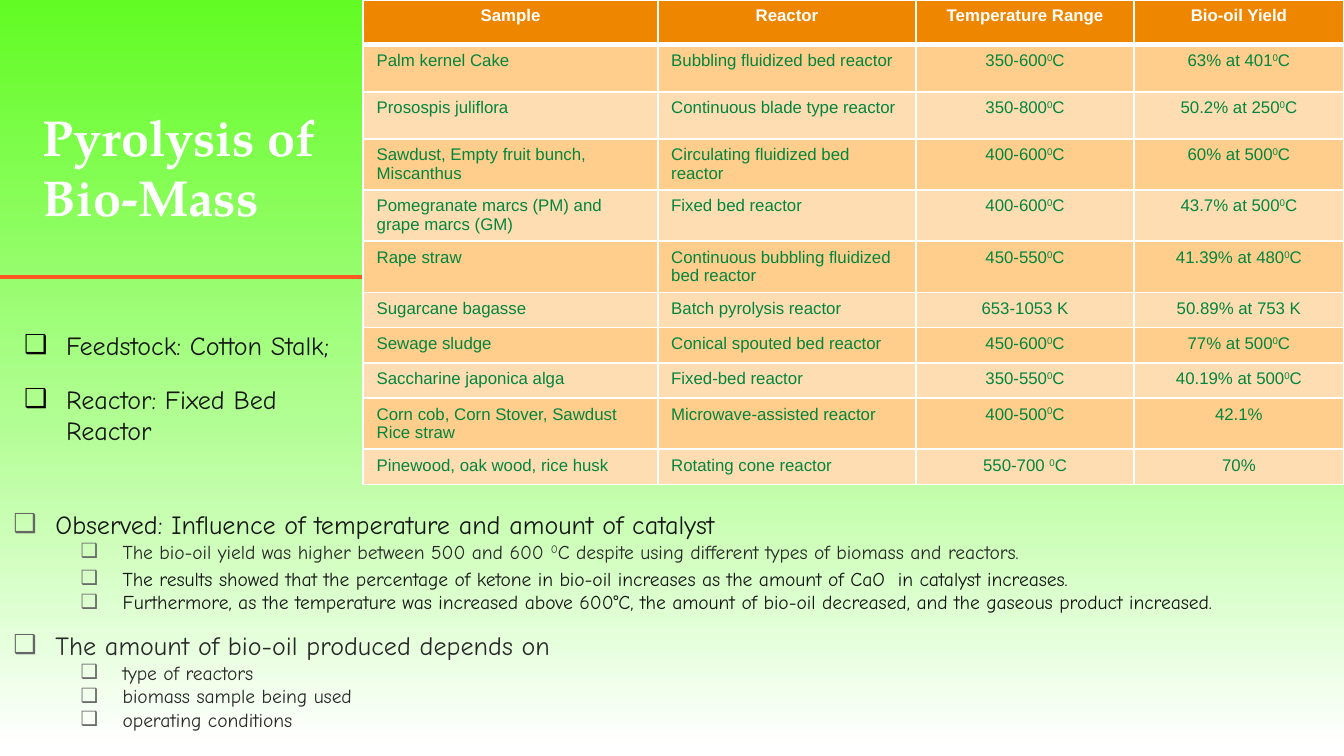
from dataclasses import dataclass

from lxml.etree import SubElement
from pptx import Presentation
from pptx.dml.color import RGBColor
from pptx.enum.shapes import MSO_CONNECTOR as Connector
from pptx.enum.text import MSO_ANCHOR as Anchor
from pptx.enum.text import MSO_AUTO_SIZE as AutoSize
from pptx.enum.text import PP_ALIGN as Align
from pptx.oxml.ns import qn
from pptx.util import Pt


@dataclass(frozen=True)
class Theme:
    title_font: str = "TeX Gyre Pagella"
    body_font: str = "Comic Neue"
    table_font: str = "Arial"
    title_size: float = 27
    point_size: float = 14
    detail_size: float = 10.5
    table_size: float = 9
    white: str = "FFFFFF"
    ink: str = "161616"
    soft_ink: str = "282828"
    black: str = "000000"
    bullet: str = "666666"
    rule: str = "FF5722"
    header: str = "EF8600"
    bands: tuple = ("FFCD8C", "FFDDB3")
    table_ink: str = "00863D"
    backdrop: tuple = ((1, "FFFFFF"), (45, "B1FE92"), (100, "62FC24"))


@dataclass(frozen=True)
class Box:
    left: float
    top: float
    width: float
    height: float

    def place(self, shape):
        shape.left, shape.top = Pt(self.left), Pt(self.top)
        shape.width, shape.height = Pt(self.width), Pt(self.height)


THEME = Theme()
SLIDE = Box(0, 0, 720, 405)
INDENT = 22.5
COLUMNS = (157.8, 138.4, 116.7, 112.5)
ROW_HEIGHTS = (24, *[25.2] * 5, *[18.9] * 3, 25.2, 18.9)
HEADINGS = ("Sample", "Reactor", "Temperature Range", "Bio-oil Yield")
SAMPLES = (
    ("Palm kernel Cake", "Bubbling fluidized bed reactor", "350-600^0C", "63% at 401^0C"),
    ("Prosospis juliflora", "Continuous blade type reactor", "350-800^0C", "50.2% at 250^0C"),
    ("Sawdust, Empty fruit bunch, Miscanthus", "Circulating fluidized bed reactor",
     "400-600^0C", "60% at 500^0C"),
    ("Pomegranate marcs (PM) and grape marcs (GM)", "Fixed bed reactor",
     "400-600^0C", "43.7% at 500^0C"),
    ("Rape straw", "Continuous bubbling fluidized bed reactor", "450-550^0C", "41.39% at 480^0C"),
    ("Sugarcane bagasse", "Batch pyrolysis reactor", "653-1053 K", "50.89% at 753 K"),
    ("Sewage sludge", "Conical spouted bed reactor", "450-600^0C", "77% at 500^0C"),
    ("Saccharine japonica alga", "Fixed-bed reactor", "350-550^0C", "40.19% at 500^0C"),
    ("Corn cob, Corn Stover, Sawdust Rice straw", "Microwave-assisted reactor",
     "400-500^0C", "42.1%"),
    ("Pinewood, oak wood, rice husk", "Rotating cone reactor", "550-700 ^0C", "70%"),
)
SETUP = ("Feedstock: Cotton Stalk;", "Reactor: Fixed Bed Reactor")
FINDINGS = (
    (0, "Observed: Influence of temperature and amount of catalyst", THEME.ink, 1, 0),
    (1, "The bio-oil yield was higher between 500 and 600 ^0C despite using different "
        "types of biomass and reactors.", THEME.soft_ink, 1, 0),
    (1, "The results showed that the percentage of ketone in bio-oil increases as the "
        "amount of CaO  in catalyst increases.", THEME.ink, 1.15, 0),
    (1, "Furthermore, as the temperature was increased above 600°C, the amount of bio-oil "
        "decreased, and the gaseous product increased.", THEME.ink, 1, 0),
    (0, "The amount of bio-oil produced depends on", THEME.soft_ink, 1.5, 0),
    (1, "type of reactors", THEME.soft_ink, 1, 0),
    (1, "biomass sample being used", THEME.soft_ink, 1, 0),
    (1, "operating conditions", THEME.soft_ink, 1, 12),
)


def rgb(value):
    return RGBColor.from_string(value)


def write(para, text, font, size, color, bold=False):
    para.font.name, para.font.size, para.font.bold = font, Pt(size), bold
    para.font.color.rgb = rgb(color)
    for index, part in enumerate(text.split("^0")):
        if index:
            raised = para.add_run()
            raised.text = "0"
            raised._r.get_or_add_rPr().set("baseline", "30000")
        span = para.add_run()
        span.text = part


def add_bullet(para, color, level=0):
    para.level = level
    props = para._p.get_or_add_pPr()
    props.set("marL", str(Pt(INDENT + 36 * level)))
    props.set("indent", str(-Pt(INDENT)))
    SubElement(SubElement(props, qn("a:buClr")), qn("a:srgbClr"), val=color)
    SubElement(props, qn("a:buFont"), typeface=THEME.table_font)
    SubElement(props, qn("a:buChar"), char="❑")


def paragraphs(frame, items):
    for index, item in enumerate(items):
        yield (frame.add_paragraph() if index else frame.paragraphs[0]), item


def prepare_frame(frame, anchor, margin):
    frame.word_wrap = True
    frame.auto_size = AutoSize.NONE
    frame.vertical_anchor = anchor
    frame.margin_left = frame.margin_right = Pt(7.2)
    frame.margin_top = frame.margin_bottom = Pt(margin)


def paint_background(page):
    fill = page.background.fill
    fill.gradient()
    fill.gradient_angle = 90
    stops = page._element.find(".//" + qn("a:gsLst"))
    stops.clear()
    for position, color in THEME.backdrop:
        stop = SubElement(stops, qn("a:gs"), pos=str(position * 1000))
        SubElement(stop, qn("a:srgbClr"), val=color)


def place_title(page, box):
    title = page.shapes.title
    box.place(title)
    prepare_frame(title.text_frame, Anchor.BOTTOM, 7.2)
    para = title.text_frame.paragraphs[0]
    para.alignment = Align.LEFT
    write(para, "Pyrolysis of Bio-Mass", THEME.title_font, THEME.title_size, THEME.white, True)


def place_findings(page, box):
    body = page.placeholders[1]
    box.place(body)
    prepare_frame(body.text_frame, Anchor.TOP, 7.2)
    for para, (level, text, color, spacing, after) in paragraphs(body.text_frame, FINDINGS):
        para.line_spacing = spacing
        para.space_before, para.space_after = Pt(0), Pt(after)
        add_bullet(para, THEME.bullet, level)
        size = THEME.detail_size if level else THEME.point_size
        write(para, text, THEME.body_font, size, color)


def place_rule(page, box):
    rule = page.shapes.add_connector(
        Connector.STRAIGHT, Pt(box.left), Pt(box.top), Pt(box.left + box.width), Pt(box.top))
    rule.line.color.rgb = rgb(THEME.rule)
    rule.line.width = Pt(2.25)
    SubElement(rule._element.spPr, qn("a:effectLst"))


def add_borders(cell, top, bottom):
    props = cell._tc.get_or_add_tcPr()
    for side, width in (("L", 1), ("R", 1), ("T", top), ("B", bottom)):
        line = SubElement(props, qn("a:ln" + side), w=str(Pt(width)))
        SubElement(SubElement(line, qn("a:solidFill")), qn("a:srgbClr"), val=THEME.white)


def place_table(page, box):
    table = page.shapes.add_table(
        len(ROW_HEIGHTS), len(COLUMNS),
        Pt(box.left), Pt(box.top), Pt(box.width), Pt(box.height)).table
    for column, width in zip(table.columns, COLUMNS):
        column.width = Pt(width)
    for row, height in zip(table.rows, ROW_HEIGHTS):
        row.height = Pt(height)
    for r, values in enumerate((HEADINGS, *SAMPLES)):
        header = r == 0
        for c, text in enumerate(values):
            cell = table.cell(r, c)
            add_borders(cell, 3 if r == 1 else 1, 3 if header else 1)
            cell.fill.solid()
            cell.fill.fore_color.rgb = rgb(THEME.header if header else THEME.bands[(r - 1) % 2])
            para = cell.text_frame.paragraphs[0]
            para.alignment = Align.CENTER if header or c > 1 else Align.LEFT
            color = THEME.white if header else THEME.table_ink
            write(para, text, THEME.table_font, THEME.table_size, color, header)


def place_setup(page, box):
    frame = page.shapes.add_textbox(
        Pt(box.left), Pt(box.top), Pt(box.width), Pt(box.height)).text_frame
    prepare_frame(frame, Anchor.TOP, 3.6)
    for para, text in paragraphs(frame, SETUP):
        para.space_after = Pt(12)
        add_bullet(para, THEME.black)
        write(para, text, THEME.body_font, THEME.point_size, THEME.ink)


def main():
    deck = Presentation()
    deck.slide_width, deck.slide_height = Pt(SLIDE.width), Pt(SLIDE.height)
    page = deck.slides.add_slide(deck.slide_layouts[1])
    paint_background(page)
    place_title(page, Box(15.8, 15.8, 162.7, 113))
    place_findings(page, Box(0, 265, 743.8, 158.4))
    place_rule(page, Box(0, 148.3, SLIDE.width, 0))
    place_table(page, Box(194.6, 0, sum(COLUMNS), sum(ROW_HEIGHTS)))
    place_setup(page, Box(5.8, 172.8, 182.9, 87.1))
    deck.save("out.pptx")


if __name__ == "__main__":
    main()
